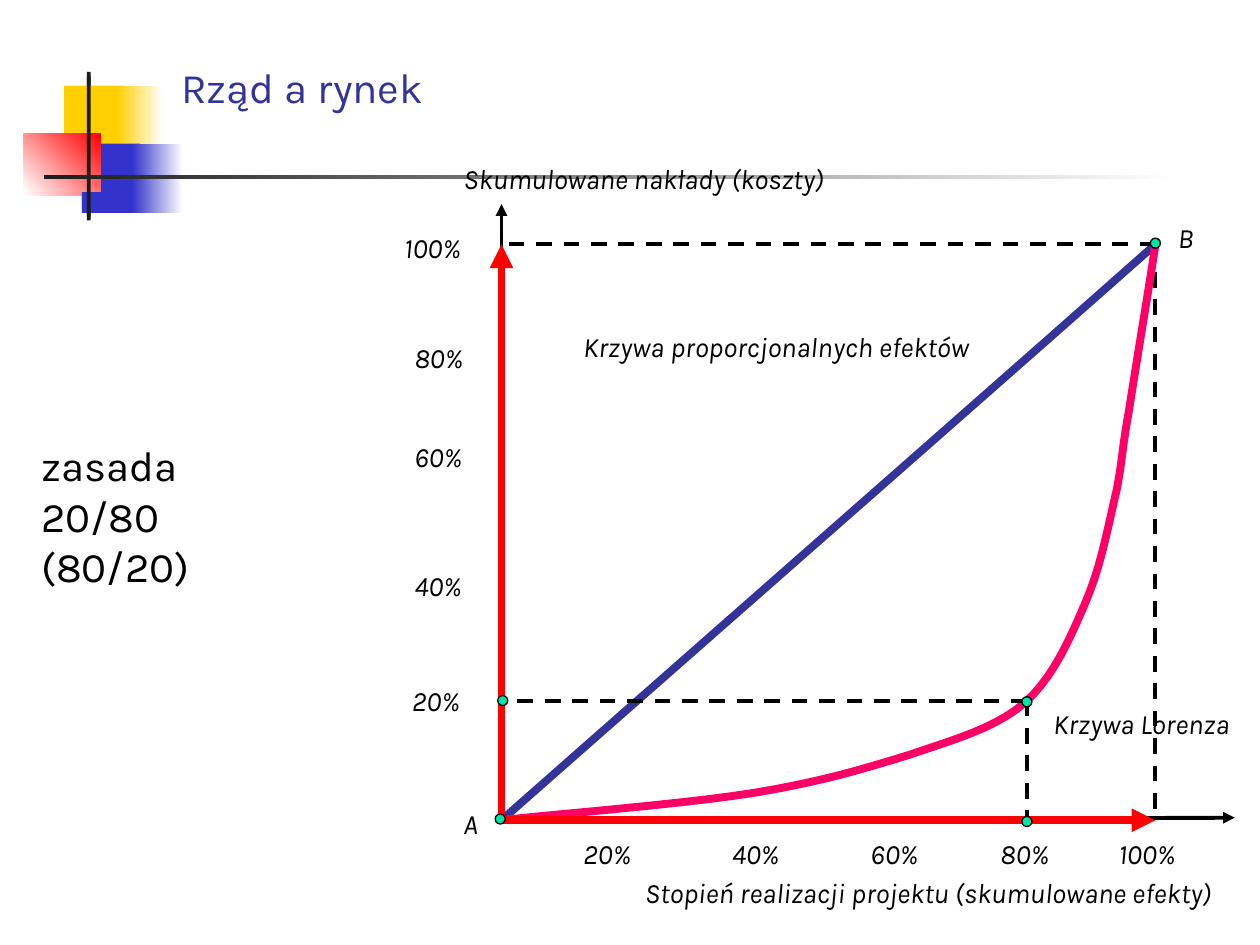
from lxml.etree import SubElement
from pptx import Presentation
from pptx.dml.color import RGBColor
from pptx.enum.dml import MSO_LINE as Dash
from pptx.enum.shapes import MSO_CONNECTOR as Link, MSO_SHAPE as Kind
from pptx.enum.text import MSO_ANCHOR as Anchor
from pptx.oxml.ns import qn
from pptx.util import Inches, Pt

BLACK = RGBColor(0, 0, 0)
WHITE = RGBColor(255, 255, 255)
DARK = RGBColor(0x1C, 0x1C, 0x1C)
GOLD = RGBColor(0xFF, 0xCF, 0x01)
BLUE = RGBColor(0x33, 0x33, 0xCC)
NAVY = RGBColor(0x33, 0x33, 0x99)
RED = RGBColor(255, 0, 0)
PINK = RGBColor(0xFF, 0, 0x66)
MINT = RGBColor(0, 0xE4, 0xA8)

LEFT, BASE, RIGHT, TOP = 3.98, 6.51, 9.17, 1.94
KNEE_X, KNEE_Y = 8.15, 5.56

DECOR = [
    ((0.51, 0.68, 0.48, 0.52), GOLD, None, 0),
    ((0.93, 0.68, 0.36, 0.52), GOLD, WHITE, 0),
    ((0.65, 1.14, 0.46, 0.52), BLUE, None, 0),
    ((1.05, 1.14, 0.4, 0.52), BLUE, WHITE, 0),
    ((0.19, 1.06, 0.61, 0.46), WHITE, RED, 45),
    ((0.69, 0.57, 0.03, 1.15), DARK, None, 0),
]
LORENZ = [
    (3.98, 6.51), (4.31, 6.47), (5.46, 6.38), (6, 6.29),
    (6.54, 6.2), (6.86, 6.1), (7.22, 5.99),
    (7.57, 5.87), (7.9, 5.78), (8.13, 5.58),
    (8.36, 5.38), (8.5, 5.05), (8.62, 4.77),
    (8.74, 4.49), (8.8, 4.15), (8.86, 3.9),
    (8.91, 3.65), (8.9, 3.59), (8.96, 3.26),
    (9.01, 2.93), (9.13, 2.22), (9.17, 1.94),
]
LABELS = [
    ("A", 3.58, 6.35, 0.34),
    ("B", 9.25, 1.7, 0.33),
    ("Krzywa Lorenza", 8.26, 5.56, 1.74),
    ("Krzywa proporcjonalnych efektów", 4.53, 2.57, 3.5),
    ("Stopień realizacji projektu (skumulowane efekty)", 5.02, 6.9, 4.98),
    ("Skumulowane nakłady (koszty)", 3.58, 1.23, 3.25),
]
X_TICKS = [4.53, 5.71, 6.81, 7.84, 8.78]
Y_TICKS = [(3.17, 5.38), (3.19, 4.46), (3.19, 3.44), (3.19, 2.65), (3.11, 1.78)]


def add_text(shapes, text, x, y, w, h=0.37, size=16, color=BLACK,
             italic=True, wrap=False, anchor=Anchor.TOP):
    frame = shapes.add_textbox(*map(Inches, (x, y, w, h))).text_frame
    frame.word_wrap = wrap
    frame.vertical_anchor = anchor
    frame.text = text
    for para in frame.paragraphs:
        for run in para.runs:
            font = run.font
            font.name = "Karla"
            font.size = Pt(size)
            font.italic = italic
            font.color.rgb = color


def add_block(shapes, box, color, fade=None, angle=0):
    block = shapes.add_shape(Kind.RECTANGLE, *map(Inches, box))
    block.shadow.inherit = False
    block.line.fill.background()
    fill = block.fill
    if fade is None:
        fill.solid()
        fill.fore_color.rgb = color
        return
    fill.gradient()
    fill.gradient_angle = angle
    for stop, tone, place in zip(fill.gradient_stops, (color, fade), (0, 1)):
        stop.color.rgb = tone
        stop.position = place


def add_line(shapes, start, end, color=BLACK, width=2.25, dash=False, arrow=False):
    link = shapes.add_connector(Link.STRAIGHT, *map(Inches, start + end))
    line = link.line
    line.color.rgb = color
    line.width = Pt(width)
    if dash:
        line.dash_style = Dash.DASH
    if arrow:
        SubElement(line._get_or_add_ln(), qn("a:tailEnd"), type="triangle")
    SubElement(link._element.spPr, qn("a:effectLst"))


def bend(knots, steps=10):
    points = [knots[0]]
    for i in range(0, len(knots) - 1, 3):
        for step in range(1, steps + 1):
            t = step / steps
            u = 1 - t
            parts = (u ** 3, 3 * u * u * t, 3 * u * t * t, t ** 3)
            points.append(tuple(sum(p * k[axis] for p, k in zip(parts, knots[i:i + 4]))
                                for axis in (0, 1)))
    return points


def add_curve(shapes, knots, color):
    points = [(Inches(x), Inches(y)) for x, y in bend(knots)]
    pen = shapes.build_freeform(*points[0])
    pen.add_line_segments(points[1:], close=False)
    curve = pen.convert_to_shape()
    curve.shadow.inherit = False
    curve.fill.background()
    curve.line.color.rgb = color
    curve.line.width = Pt(4.5)


def add_dot(shapes, x, y):
    size = 0.08
    dot = shapes.add_shape(Kind.OVAL, *map(Inches, (x - size / 2, y - size / 2, size, size)))
    dot.shadow.inherit = False
    dot.fill.solid()
    dot.fill.fore_color.rgb = MINT
    dot.line.color.rgb = BLACK
    dot.line.width = Pt(0.75)


def add_decor(shapes):
    for drop in (0.03, 0):
        for (x, y, w, h), color, fade, angle in DECOR:
            add_block(shapes, (x, y + drop, w, h), color, fade, angle)
    add_block(shapes, (0.35, 1.39, 9, 0.03), DARK, WHITE)


def add_graph(shapes):
    origin, peak, knee = (LEFT, BASE), (RIGHT, TOP), (KNEE_X, KNEE_Y)
    add_curve(shapes, [origin, (4.84, 5.75), (8.1, 2.89), peak], NAVY)
    add_line(shapes, origin, (LEFT, 1.62), arrow=True)
    add_line(shapes, origin, (9.8, 6.49), arrow=True)
    for x, y in (peak, knee):
        if (x, y) == knee:
            add_curve(shapes, LORENZ, PINK)
        add_line(shapes, (x, y), (x, BASE), dash=True)
        add_line(shapes, (x, y), (LEFT, y), dash=True)
    for end in ((LEFT, TOP), (RIGHT, BASE)):
        add_line(shapes, origin, end, RED, 4.5, arrow=True)
    for spot in ((8.15, 6.52), (3.99, 5.56), (9.17, 1.93), (8.15, 5.57), (3.97, 6.5)):
        add_dot(shapes, *spot)


def add_ticks(shapes):
    spots = [(x, 6.59) for x in X_TICKS], Y_TICKS
    for row in spots:
        for i, (x, y) in enumerate(row, 1):
            add_text(shapes, f"{20 * i}%", x, y, 0.78 if i == 5 else 0.66)


def main():
    deck = Presentation()
    deck.slide_width, deck.slide_height = Inches(10), Inches(7.5)
    shapes = deck.slides.add_slide(deck.slide_layouts[6]).shapes
    add_decor(shapes)
    add_text(shapes, "Rząd a rynek", 1.34, 0.21, 8.29, 0.73, size=24, color=NAVY,
             italic=False, wrap=True, anchor=Anchor.BOTTOM)
    add_graph(shapes)
    add_ticks(shapes)
    add_text(shapes, "zasada\v20/80\n(80/20)", 0.23, 3.44, 2.17, 1.3, size=24,
             italic=False, wrap=True)
    for label in LABELS:
        add_text(shapes, *label)
    deck.save("out.pptx")


main()
